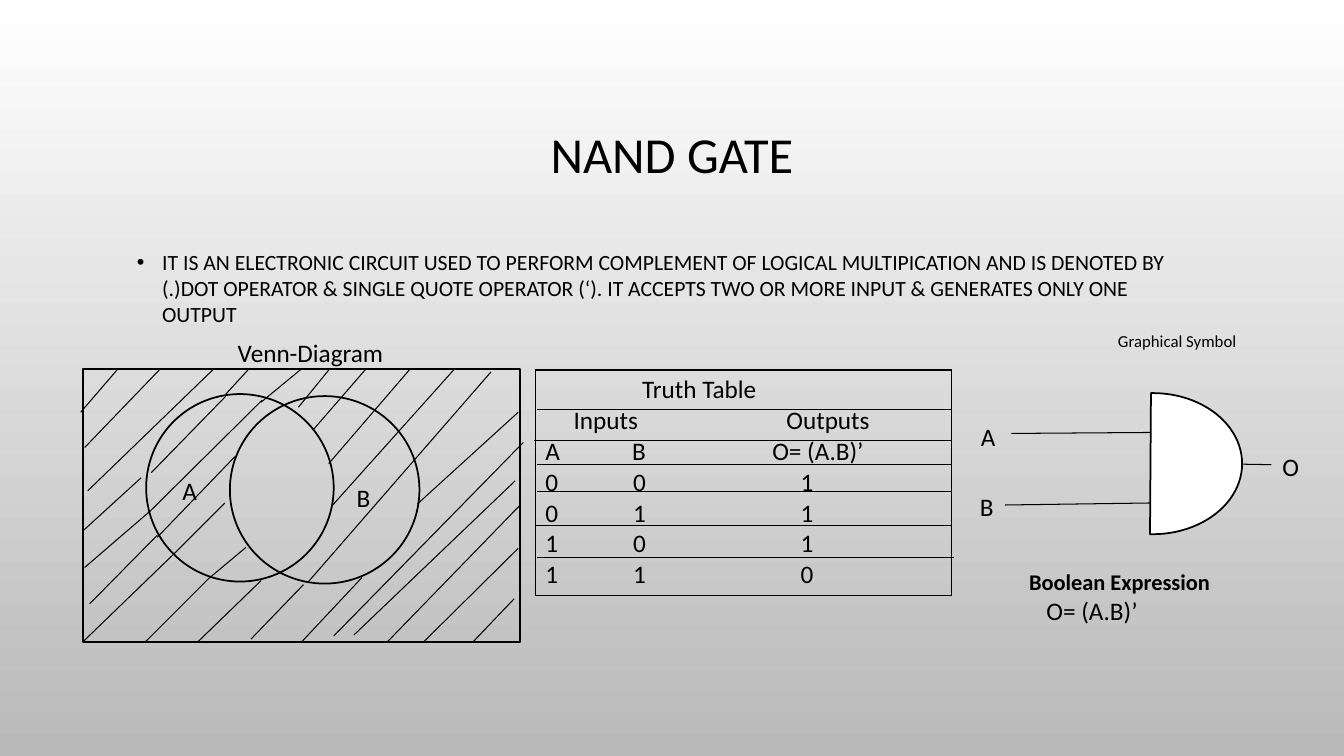
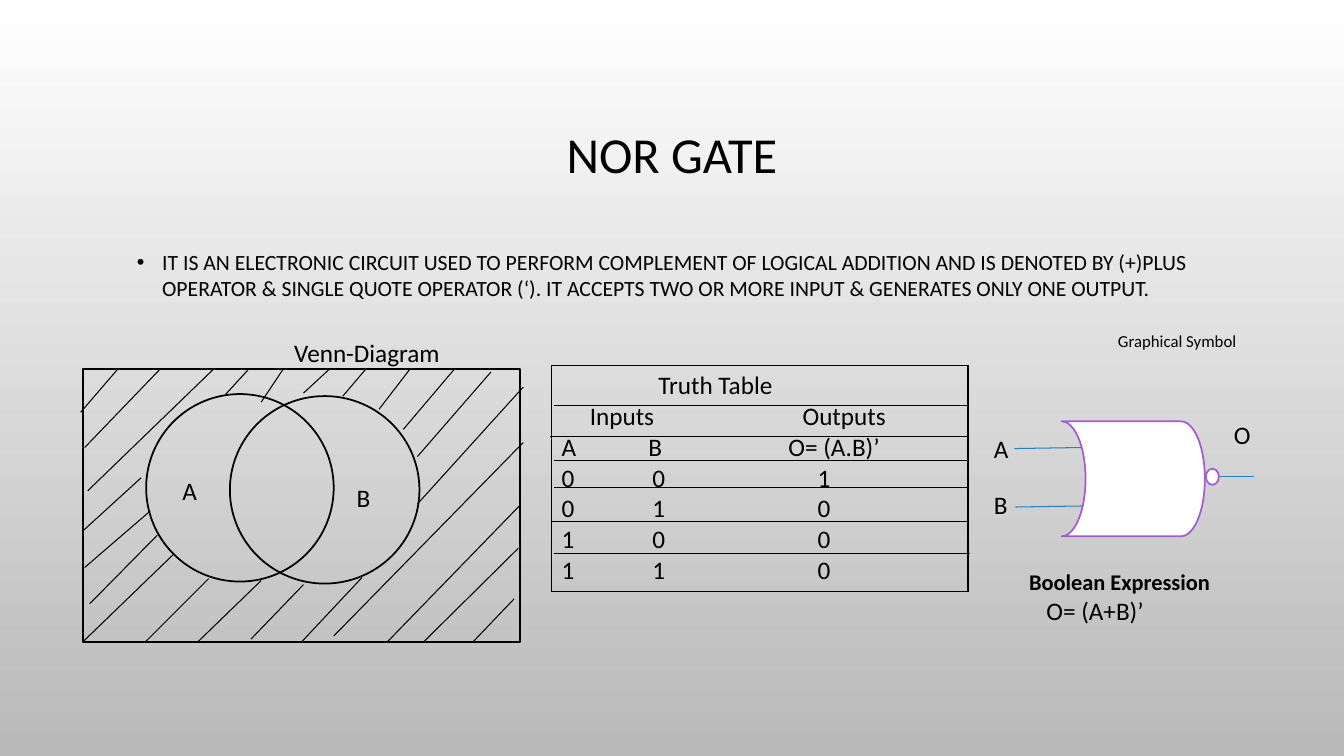
from lxml.etree import SubElement
from pptx import Presentation
from pptx.dml.color import RGBColor
from pptx.enum.shapes import MSO_CONNECTOR, MSO_SHAPE
from pptx.enum.text import MSO_ANCHOR, PP_ALIGN
from pptx.oxml.ns import qn
from pptx.util import Inches, Pt

FONT = "Calibri"
BLACK, WHITE, GRAY, PURPLE, BLUE = "000000", "FFFFFF", "B9B9B9", "A35DD1", "2683BF"

VENN_FRAME = (0.82, 3.66, 4.34, 2.71)
VENN_CIRCLES = [(1.45, 3.91, 1.86, 1.86), (2.28, 3.93, 1.88, 1.86)]
VENN_LABELS = [("A", 1.71, 4.67, 0.6), ("B", 3.44, 4.74, 0.54)]
SHARED_HATCH = [
    (4.2, 6.37, 5.14, 5.44), (1.72, 5.5, 0.83, 6.36), (2.11, 3.67, 0.87, 4.87),
    (0.84, 4.44, 1.59, 3.66), (1.44, 6.37, 2.07, 5.74), (0.89, 5.99, 1.56, 5.31),
    (0.84, 5.63, 1.49, 5.07), (1.4, 4.74, 0.83, 5.26), (1.96, 6.37, 2.59, 5.76),
    (2.49, 6.34, 3.01, 5.8), (2.99, 6.37, 3.59, 5.73), (2.24, 3.91, 2.46, 3.67),
    (3.84, 6.37, 5.16, 5.01), (4.69, 6.37, 5.1, 5.94), (3.31, 6.31, 5.19, 4.39),
    (0.8, 4.09, 1.17, 3.66),
]

TABLE_SIZE = (4.13, 2.24)
TABLE_HEAD = [
    ("\tTruth Table", (0.96,)),
    ("\tInputs\tOutputs", (0.28, 2.39)),
    ("A\tB\tO= (A.B)’", (0.86, 2.25)),
]
INPUTS = [("0", "0"), ("0", "1"), ("1", "0"), ("1", "1")]
TABLE_RULES = [
    (0.02, 4.1, 0), (0.02, 4.13, 0.39), (-0.01, 4.13, 0.7), (0.02, 4.13, 0.94),
    (0.02, 4.13, 1.21), (0, 4.13, 1.54), (0.02, 4.15, 1.86),
]

GATES = [
    {
        "title": "NAND GATE",
        "body": "IT IS AN ELECTRONIC CIRCUIT USED TO PERFORM COMPLEMENT OF LOGICAL "
                "MULTIPICATION AND IS DENOTED BY (.)DOT OPERATOR & SINGLE QUOTE OPERATOR (‘). "
                "IT ACCEPTS TWO OR MORE INPUT & GENERATES ONLY ONE OUTPUT",
        "venn_left": 2.26,
        "hatch": [
            (5.11, 4.77, 3.51, 6.3), (5.14, 4.09, 4.14, 5), (2.23, 4.99, 1.72, 5.5),
            (2.33, 4.53, 1.56, 5.33), (2.6, 3.97, 1.47, 5.09), (1.5, 4.69, 2.24, 3.93),
            (2.07, 5.74, 2.44, 5.43), (3.06, 5.77, 4.87, 3.69), (3.3, 5.01, 4.5, 3.67),
            (3.26, 4.6, 4.06, 3.67), (3.11, 4.26, 3.63, 3.66), (2.96, 4.04, 3.27, 3.66),
            (2.59, 3.99, 2.99, 3.66),
        ],
        "table": (5.31, 3.67),
        "outputs": "1110",
        "digit_tabs": (0.87, 2.53),
        "expression": "O= (A.B)’",
        "symbol": [(MSO_SHAPE.CHORD, (10.55, 3.9, 1.77, 1.4), 0, (161.063, 55.392))],
        "symbol_line": BLACK,
        "wires": [(10.03, 4.3, 11.49, 4.29), (9.97, 5.01, 11.42, 4.99), (12.03, 4.6, 12.61, 4.61)],
        "wire_line": BLACK,
        "pins": [("A", 9.63, 4.13), ("B", 9.62, 4.83), ("O", 12.62, 4.43)],
    },
    {
        "title": "NOR GATE",
        "body": "IT IS AN ELECTRONIC CIRCUIT USED TO PERFORM COMPLEMENT OF LOGICAL ADDITION "
                "AND IS DENOTED BY (+)PLUS OPERATOR & SINGLE QUOTE OPERATOR (‘). "
                "IT ACCEPTS TWO OR MORE INPUT & GENERATES ONLY ONE OUTPUT.",
        "venn_left": 2.82,
        "hatch": [
            (5.19, 3.84, 4.14, 5), (4.14, 4.53, 4.87, 3.69), (4, 4.26, 4.5, 3.67),
            (3.76, 4.06, 4.06, 3.67), (3.4, 3.93, 3.63, 3.66), (3.01, 3.9, 3.27, 3.66),
            (2.59, 3.99, 2.81, 3.66),
        ],
        "table": (5.47, 3.63),
        "outputs": "1000",
        "digit_tabs": (0.9, 2.54),
        "expression": "O= (A+B)’",
        "symbol": [
            (MSO_SHAPE.FLOWCHART_STORED_DATA, (10.53, 4.18, 1.42, 1.14), 180, ()),
            (MSO_SHAPE.OVAL, (11.96, 4.65, 0.13, 0.16), 0, ()),
        ],
        "symbol_line": PURPLE,
        "wires": [(10.06, 4.45, 10.72, 4.44), (10.07, 5.03, 10.73, 5.02), (12.07, 4.73, 12.44, 4.73)],
        "wire_line": BLUE,
        "pins": [("A", 9.76, 4.25), ("B", 9.76, 4.81), ("O", 12.14, 4.11)],
    },
]


def rgb(color):
    return RGBColor.from_string(color)


def inches(*values):
    return [Inches(v) for v in values]


def add_run(p, text, size=18, bold=False):
    r = p.add_run()
    r.text = text
    r.font.name = FONT
    r.font.size = Pt(size)
    r.font.bold = bold
    r.font.color.rgb = rgb(BLACK)


def add_text(s, text, box, size=18, bold=False):
    tf = s.shapes.add_textbox(*inches(*box)).text_frame
    tf.word_wrap = True
    add_run(tf.paragraphs[0], text, size, bold)
    return tf


def add_outline(s, kind, box, color=BLACK, fill=None):
    sp = s.shapes.add_shape(kind, *inches(*box))
    sp.shadow.inherit = False
    if fill:
        sp.fill.solid()
        sp.fill.fore_color.rgb = rgb(fill)
    else:
        sp.fill.background()
    sp.line.color.rgb = rgb(color)
    sp.line.width = Pt(1.25)
    return sp


def add_line(s, ends, color=BLACK):
    c = s.shapes.add_connector(MSO_CONNECTOR.STRAIGHT, *inches(*ends))
    c.line.color.rgb = rgb(color)
    c.line.width = Pt(0.75)
    SubElement(c._element.spPr, qn("a:effectLst"))


def set_borders(cell):
    tc_pr = cell._tc.get_or_add_tcPr()
    for side in "LRTB":
        ln = SubElement(tc_pr, qn("a:ln" + side), w=str(Pt(1)))
        fill = SubElement(ln, qn("a:solidFill"))
        SubElement(fill, qn("a:srgbClr"), val=BLACK)


def set_tabs(p, positions):
    tabs = SubElement(p._p.get_or_add_pPr(), qn("a:tabLst"))
    for position in positions:
        SubElement(tabs, qn("a:tab"), pos=str(Inches(position)), algn="l")


def add_heading(s, gate):
    tf = add_text(s, gate["title"], (1, 0.68, 11.33, 1.75), 36)
    tf.vertical_anchor = MSO_ANCHOR.MIDDLE
    tf.paragraphs[0].alignment = PP_ALIGN.CENTER
    tf.paragraphs[0].line_spacing = 0.9
    p = add_text(s, gate["body"], (1.26, 2.42, 10.69, 0.91), 15.5).paragraphs[0]
    p.space_before = Pt(10)
    p_pr = p._p.get_or_add_pPr()
    p_pr.set("marL", str(Inches(0.25)))
    p_pr.set("indent", str(Inches(-0.25)))
    SubElement(SubElement(p_pr, qn("a:buClr")), qn("a:srgbClr"), val=BLACK)
    SubElement(p_pr, qn("a:buFont"), typeface="Arial")
    SubElement(p_pr, qn("a:buChar"), char="•")


def add_venn(s, gate):
    for circle in VENN_CIRCLES:
        add_outline(s, MSO_SHAPE.OVAL, circle)
    add_outline(s, MSO_SHAPE.RECTANGLE, VENN_FRAME)
    add_text(s, "Venn-Diagram", (gate["venn_left"], 3.3, 1.8, 0.4))
    for ends in SHARED_HATCH + gate["hatch"]:
        add_line(s, ends)
    for text, left, top, width in VENN_LABELS:
        add_text(s, text, (left, top, width, 0.4))


def add_truth_table(s, gate):
    left, top = gate["table"]
    table = s.shapes.add_table(1, 1, *inches(left, top, *TABLE_SIZE)).table
    table.first_row = table.horz_banding = False
    cell = table.cell(0, 0)
    cell.fill.background()
    set_borders(cell)
    tf = cell.text_frame
    digits = [("\t".join(pair + (out,)), gate["digit_tabs"])
              for pair, out in zip(INPUTS, gate["outputs"])]
    for i, (text, tabs) in enumerate(TABLE_HEAD + digits):
        p = tf.add_paragraph() if i else tf.paragraphs[0]
        set_tabs(p, tabs)
        add_run(p, text)
    for start, end, y in TABLE_RULES:
        add_line(s, (left + start, top + y, left + end, top + y))


def add_symbol(s, gate):
    add_text(s, "Graphical Symbol", (10.99, 3.23, 2, 0.3), 12)
    for ends in gate["wires"]:
        add_line(s, ends, gate["wire_line"])
    for kind, box, rotation, adjustments in gate["symbol"]:
        sp = add_outline(s, kind, box, gate["symbol_line"], WHITE)
        sp.rotation = rotation
        for i, value in enumerate(adjustments):
            sp.adjustments[i] = value
    for text, left, top in gate["pins"]:
        add_text(s, text, (left, top, 0.35, 0.4))
    tf = add_text(s, "Boolean Expression", (10.11, 5.59, 2.74, 0.67), 16, True)
    p = tf.add_paragraph()
    p._p.get_or_add_pPr().set("marL", str(Inches(0.17)))
    add_run(p, gate["expression"])


def main():
    prs = Presentation()
    prs.slide_width, prs.slide_height = inches(13.33, 7.5)
    fill = prs.slide_master.background.fill
    fill.gradient()
    fill.gradient_angle = 270
    for stop, color, position in zip(fill.gradient_stops, (WHITE, GRAY), (0, 1)):
        stop.color.rgb = rgb(color)
        stop.position = position
    for gate in GATES:
        s = prs.slides.add_slide(prs.slide_layouts[6])
        for add_part in (add_heading, add_venn, add_truth_table, add_symbol):
            add_part(s, gate)
    prs.save("out.pptx")


if __name__ == "__main__":
    main()
